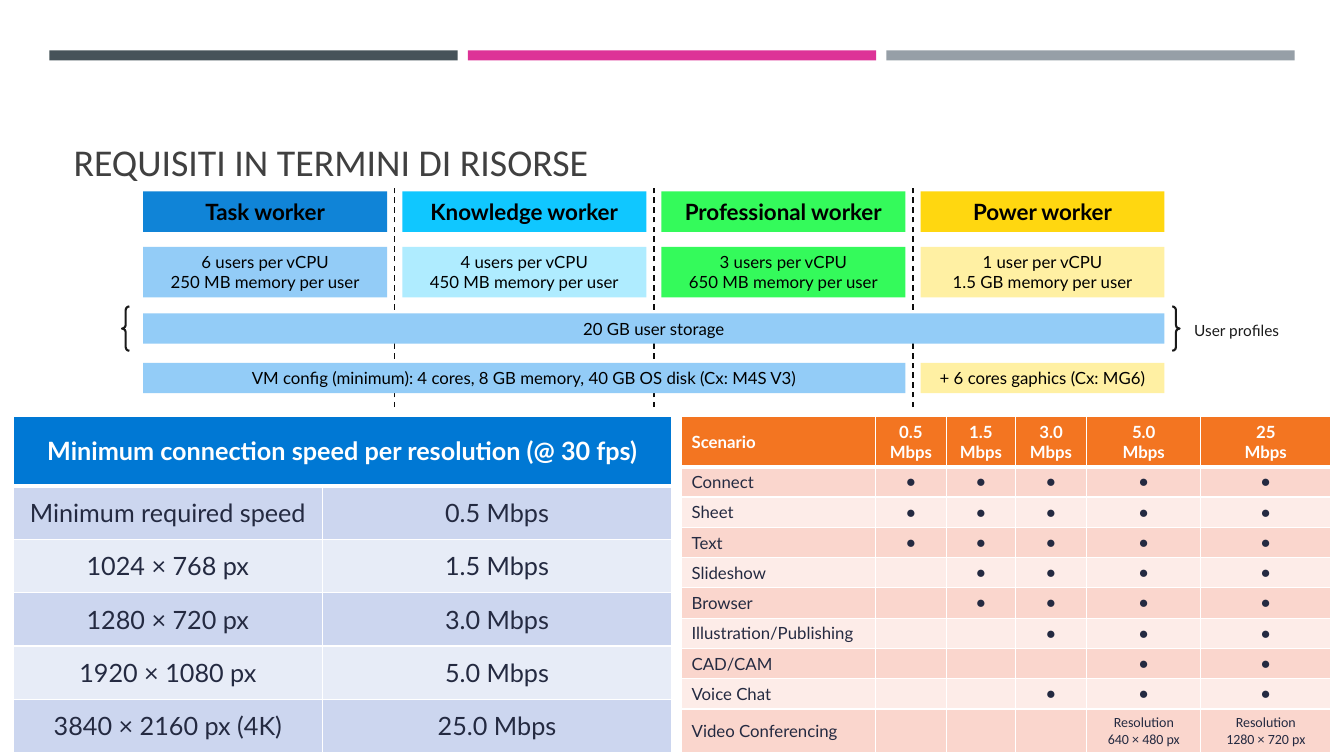
from dataclasses import dataclass

from lxml.etree import SubElement
from pptx import Presentation
from pptx.dml.color import RGBColor
from pptx.enum.dml import MSO_LINE
from pptx.enum.shapes import MSO_CONNECTOR, MSO_SHAPE
from pptx.enum.text import MSO_ANCHOR as Anchor, MSO_AUTO_SIZE as AutoSize, PP_ALIGN as Align
from pptx.oxml.ns import qn
from pptx.util import Inches, Pt


@dataclass(frozen=True)
class Theme:
    body: str = "Lato"
    heading: str = "Calibri"
    symbol: str = "Arial"
    title_size: int = 27
    large: int = 18
    worker: int = 16
    normal: int = 12
    label: int = 11
    small: int = 10
    title: str = "404040"
    black: str = "000000"
    ink: str = "1A1A1A"
    divider: str = "0D0D0D"
    white: str = "FFFFFF"
    cell_text: str = "242A41"
    bars: tuple = ("465359", "DD3397", "969FA7")
    shared: str = "93CCF7"
    power: str = "FFF0A3"
    speed_head: str = "0078D4"
    speed_bands: tuple = ("CCD6EF", "E7ECF7")
    scenario_head: str = "F37521"
    scenario_bands: tuple = ("FAD6CD", "FDECE8")


THEME = Theme()

# Worker type, header fill, sizing text, sizing fill
WORKERS = [
    ("Task worker", "1084D7", "6 users per vCPU\n250 MB memory per user", THEME.shared),
    ("Knowledge worker", "10C7FF", "4 users per vCPU\n450 MB memory per user", "AFECFF"),
    ("Professional worker", "34FA5B", "3 users per vCPU\n650 MB memory per user", "34FA5B"),
    ("Power worker", "FFD710", "1 user per vCPU\n1.5 GB memory per user", THEME.power),
]
SPEEDS = [
    ("Minimum required speed", "0.5 Mbps"),
    ("1024 × 768 px", "1.5 Mbps"),
    ("1280 × 720 px", "3.0 Mbps"),
    ("1920 × 1080 px", "5.0 Mbps"),
    ("3840 × 2160 px (4K)", "25.0 Mbps"),
]
BANDWIDTHS = ["0.5", "1.5", "3.0", "5.0", "25"]
# Scenario and the index of the lowest bandwidth that supports it
SCENARIOS = [
    ("Connect", 0), ("Sheet", 0), ("Text", 0), ("Slideshow", 1), ("Browser", 1),
    ("Illustration/Publishing", 2), ("CAD/CAM", 3), ("Voice Chat", 2),
]
VIDEO = ["Video Conferencing", "", "", "", "Resolution\n640 × 480 px", "Resolution\n1280 × 720 px"]


def rgb(color):
    return RGBColor.from_string(color)


def write(frame, text, *, size=THEME.normal, color=THEME.black, font=THEME.body,
          bold=False, align=Align.CENTER, spacing=None):
    """Write text: a newline starts a paragraph, a vertical tab breaks a line."""
    for index, line in enumerate(text.split("\n")):
        paragraph = frame.add_paragraph() if index else frame.paragraphs[0]
        paragraph.text = line
        paragraph.alignment = align
        if spacing:
            paragraph.line_spacing = spacing
        for run in paragraph.runs:
            run.font.size, run.font.name, run.font.bold = Pt(size), font, bold
            run.font.color.rgb = rgb(color)
        for line_break in paragraph._p.findall(qn("a:br")):
            SubElement(line_break, qn("a:rPr"), sz=str(size * 100))
        if not line:
            SubElement(paragraph._p, qn("a:endParaRPr"), sz=str(size * 100))


def add_block(slide, left, top, width, height, fill, text="", **style):
    block = slide.shapes.add_shape(MSO_SHAPE.RECTANGLE, Inches(left), Inches(top),
                                   Inches(width), Inches(height))
    block.shadow.inherit = False
    block.fill.solid()
    block.fill.fore_color.rgb = rgb(fill)
    block.line.fill.background()
    if text:
        frame = block.text_frame
        frame.margin_left = frame.margin_right = frame.margin_top = frame.margin_bottom = 0
        frame.word_wrap, frame.vertical_anchor = True, Anchor.MIDDLE
        write(frame, text, **style)


def add_heading(slide, left, top, width, height):
    # Three accent bars above the title
    for index, color in enumerate(THEME.bars):
        add_block(slide, 0.49 + index * 4.15, 0.5, 4.05, 0.1, color)
    title = slide.shapes.title
    title.left, title.top, title.width, title.height = map(Inches, (left, top, width, height))
    title.text_frame.auto_size = AutoSize.NONE
    title.text_frame.vertical_anchor = Anchor.BOTTOM
    write(title.text_frame, "REQUISITI IN TERMINI DI RISORSE", size=THEME.title_size,
          color=THEME.title, font=THEME.heading, align=Align.LEFT, spacing=0.9)


def add_worker_grid(slide, left, top, width, height):
    gap = 0.15
    column = (width - gap * (len(WORKERS) - 1)) / len(WORKERS)
    pitch = column + gap

    # Dashed dividers, centred in the gaps
    for index in range(1, len(WORKERS)):
        x = Inches(left + index * pitch - gap / 2)
        divider = slide.shapes.add_connector(MSO_CONNECTOR.STRAIGHT, x, Inches(top + height),
                                             x, Inches(top - 0.04))
        divider.line.color.rgb = rgb(THEME.divider)
        divider.line.width = Pt(1)
        divider.line.dash_style = MSO_LINE.DASH
        SubElement(divider._element.spPr, qn("a:effectLst"))

    # One column per worker type
    for index, (worker, head_fill, sizing, sizing_fill) in enumerate(WORKERS):
        x = left + index * pitch
        add_block(slide, x, top, column, 0.4, head_fill, worker, size=THEME.worker, bold=True)
        add_block(slide, x, top + 0.55, column, 0.5, sizing_fill, sizing)

    # Shared storage and machine configuration
    add_block(slide, left, top + 1.21, width, 0.3, THEME.shared, "20 GB user storage")
    add_block(slide, left, top + 1.7, width - pitch, 0.3, THEME.shared,
              "VM config (minimum): 4 cores, 8 GB memory, 40 GB OS disk (Cx: M4S V3)")
    add_block(slide, left + 3 * pitch, top + 1.7, column, 0.3, THEME.power,
              "+ 6 cores gaphics (Cx: MG6)")

    # Braces around the storage, with their label
    braces = slide.shapes.add_shape(MSO_SHAPE.DOUBLE_BRACE, Inches(left - 0.21),
                                    Inches(top + 1.14), Inches(width + 0.36), Inches(0.44))
    braces.shadow.inherit = False
    braces.fill.background()
    braces.line.color.rgb = rgb(THEME.ink)
    braces.line.width = Pt(1.5)
    profiles = slide.shapes.add_textbox(Inches(left + width + 0.19), Inches(top + 1.23),
                                        Inches(1.05), Inches(0.29)).text_frame
    profiles.word_wrap, profiles.vertical_anchor = False, Anchor.MIDDLE
    write(profiles, "User profiles", size=THEME.label, color=THEME.ink)


def format_cell(cell, row, head_fill, bands):
    cell.vertical_anchor = Anchor.MIDDLE
    edges = {"L": 1, "R": 1, "T": 3 if row == 1 else 1, "B": 3 if row == 0 else 1}
    for side, points in edges.items():
        edge = SubElement(cell._tc.get_or_add_tcPr(), qn(f"a:ln{side}"), w=str(Pt(points)))
        SubElement(SubElement(edge, qn("a:solidFill")), qn("a:srgbClr"), val=THEME.white)
    cell.fill.solid()
    cell.fill.fore_color.rgb = rgb(bands[(row - 1) % 2] if row else head_fill)


def add_grid(slide, left, top, columns, rows, head_fill, bands):
    table = slide.shapes.add_table(len(rows), len(columns), Inches(left), Inches(top),
                                   Inches(sum(columns)), Inches(sum(rows))).table
    for column, width in zip(table.columns, columns):
        column.width = Inches(width)
    for index, height in enumerate(rows):
        table.rows[index].height = Inches(height)
        for cell in table.rows[index].cells:
            format_cell(cell, index, head_fill, bands)
    return table


def add_speed_table(slide, left, top):
    table = add_grid(slide, left, top, [3.07, 3.46], [0.69] + [0.53] * len(SPEEDS),
                     THEME.speed_head, THEME.speed_bands)
    table.cell(0, 0).merge(table.cell(0, 1))
    write(table.cell(0, 0).text_frame, "Minimum connection speed per resolution (@ 30 fps)",
          size=THEME.large, color=THEME.white, bold=True)
    for row, values in enumerate(SPEEDS, start=1):
        for column, value in enumerate(values):
            write(table.cell(row, column).text_frame, value, size=THEME.large,
                  color=THEME.cell_text)


def add_scenario_table(slide, left, top):
    table = add_grid(slide, left, top, [1.92, 0.71, 0.68, 0.71, 1.13, 1.29],
                     [0.5] + [0.3] * len(SCENARIOS) + [0.43],
                     THEME.scenario_head, THEME.scenario_bands)
    content = [["Scenario"] + [f"{speed}\vMbps" for speed in BANDWIDTHS]]
    for scenario, lowest in SCENARIOS:
        content.append([scenario] + ["●" if index >= lowest else ""
                                     for index in range(len(BANDWIDTHS))])
    content.append(VIDEO)
    for row, values in enumerate(content):
        for column, value in enumerate(values):
            style = dict(color=THEME.cell_text if row else THEME.white, bold=row == 0,
                         align=Align.CENTER if column else Align.LEFT)
            if value == "●":
                style.update(font=THEME.symbol)
            elif value.startswith("Resolution"):
                style.update(font=THEME.heading, size=THEME.small)
            write(table.cell(row, column).text_frame, value, **style)


def main():
    deck = Presentation()
    deck.slide_width, deck.slide_height = Inches(13.33), Inches(7.5)
    slide = deck.slides.add_slide(deck.slide_layouts[5])
    add_heading(slide, 0.63, 0.8, 12.06, 1.08)
    add_worker_grid(slide, 1.42, 1.9, 10.13, 2.14)
    add_speed_table(slide, 0.13, 4.13)
    add_scenario_table(slide, 6.76, 4.13)
    deck.save("out.pptx")


if __name__ == "__main__":
    main()
